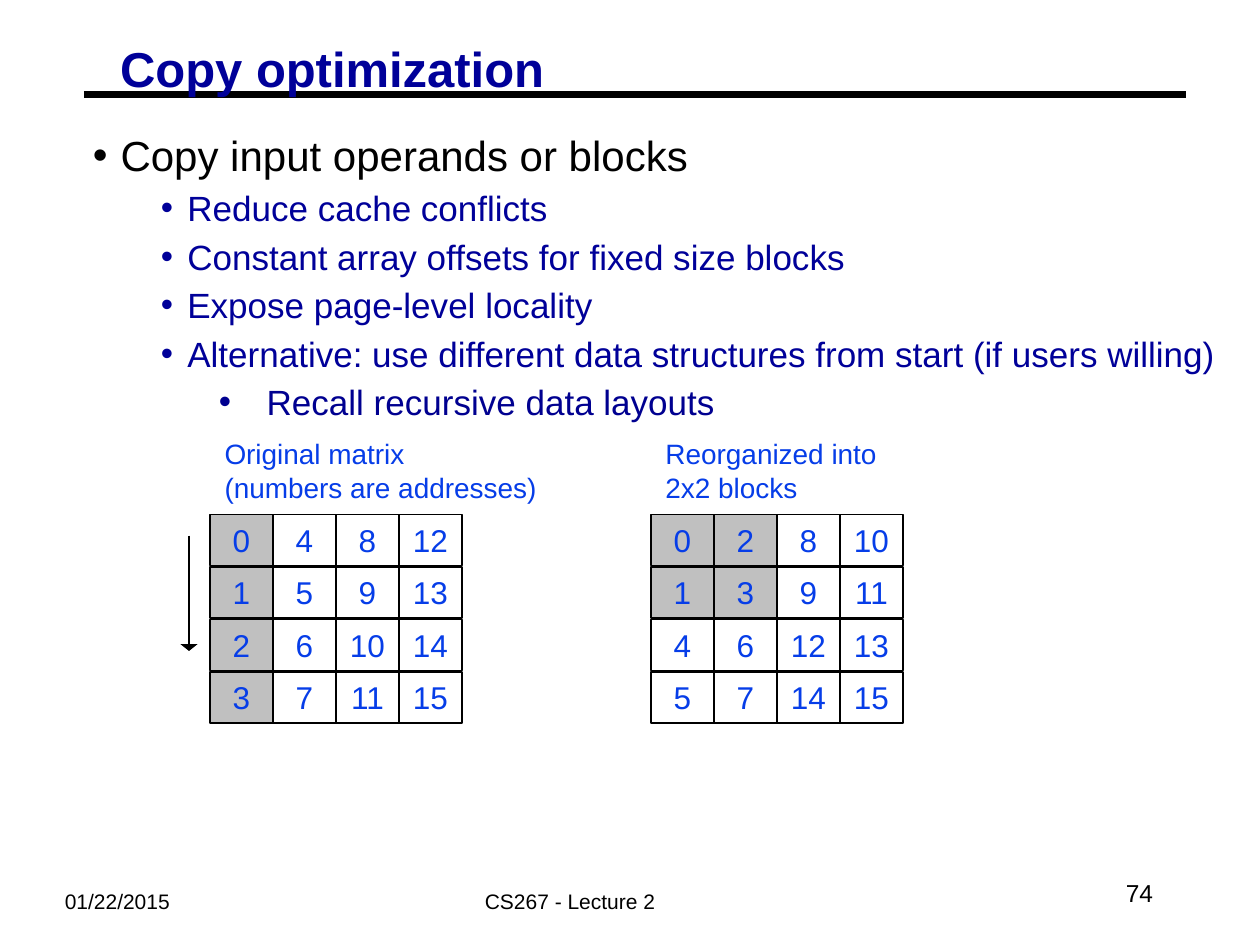
"""Build the slide on copy optimization: a bullet list above two 4x4 block matrices."""
from pptx import Presentation
from pptx.dml.color import RGBColor
from pptx.enum.shapes import MSO_CONNECTOR, MSO_SHAPE
from pptx.enum.text import MSO_ANCHOR, MSO_AUTO_SIZE, PP_ALIGN
from pptx.oxml.ns import qn
from pptx.util import Inches, Pt
from lxml.etree import SubElement

BLACK = RGBColor(0x00, 0x00, 0x00)
NAVY = RGBColor(0x00, 0x00, 0x99)
DARK_NAVY = RGBColor(0x00, 0x00, 0x90)
BLUE = RGBColor(0x06, 0x3D, 0xE8)
GRAY = RGBColor(0xC0, 0xC0, 0xC0)

prs = Presentation()
prs.slide_width, prs.slide_height = Inches(10), Inches(7.5)
U = prs.slide_width // 120
s = prs.slides.add_slide(prs.slide_layouts[1])


def add_run(p, text, size, color, bold=False):
    r = p.add_run()
    r.text = text
    r.font.name, r.font.size, r.font.bold = "Arial", Pt(size), bold
    r.font.color.rgb = color


def add_line(x1, y1, x2, y2, width):
    line = s.shapes.add_connector(
        MSO_CONNECTOR.STRAIGHT, int(x1 * U), int(y1 * U), int(x2 * U), int(y2 * U))
    line.line.color.rgb, line.line.width = BLACK, Pt(width)
    SubElement(line._element.spPr, qn("a:effectLst"))
    return line


title, body = s.shapes.title, s.placeholders[1]
rule = add_line(8, 9, 113, 9, 3.75)
title._element.addprevious(rule._element)

for sp, box in ((title, (10.6, 4.1, 42.5, 5.8)), (body, (8, 12, 112, 28.8))):
    sp.left, sp.top, sp.width, sp.height = (int(v * U) for v in box)
    tf = sp.text_frame
    tf.word_wrap, tf.auto_size = True, MSO_AUTO_SIZE.NONE
    tf.vertical_anchor = MSO_ANCHOR.TOP
    tf.margin_left = tf.margin_right = Inches(0.07)
    tf.margin_top = tf.margin_bottom = Inches(0.03)

p = title.text_frame.paragraphs[0]
p.alignment, p.line_spacing = PP_ALIGN.LEFT, 0.87
add_run(p, "Copy optimization", 28, NAVY, True)

LEVELS = [(0.22, 0.22, 24, BLACK), (0.75, 0.21, 20, NAVY), (1.38, 0.38, 20, DARK_NAVY)]
bullets = [
    (0, "Copy input operands or blocks"),
    (1, "Reduce cache conflicts"),
    (1, "Constant array offsets for fixed size blocks"),
    (1, "Expose page-level locality"),
    (1, "Alternative: use different data structures from start (if users willing)"),
    (2, "Recall recursive data layouts"),
]
tf = body.text_frame
for i, (level, text) in enumerate(bullets):
    margin, hang, size, color = LEVELS[level]
    p = tf.add_paragraph() if i else tf.paragraphs[0]
    p.level, p.space_before = level, Pt(3.7)
    add_run(p, text, size, color)
    pPr = p._p.get_or_add_pPr()
    pPr.set("marL", str(Inches(margin)))
    pPr.set("indent", str(-Inches(hang)))
    SubElement(SubElement(pPr, qn("a:buClr")), qn("a:srgbClr")).set("val", str(color))
    SubElement(pPr, qn("a:buFont")).set("typeface", "Arial")
    SubElement(pPr, qn("a:buChar")).set("char", "•")

labels = [
    (5, 84, 23, 7.3, ["01/22/2015"], 12, BLACK, PP_ALIGN.LEFT, MSO_ANCHOR.TOP),
    (45, 84, 23, 3.6, ["CS267 - Lecture 2"], 12, BLACK, PP_ALIGN.LEFT, MSO_ANCHOR.TOP),
    (86, 82, 25, 6, ["74"], 14, BLACK, PP_ALIGN.RIGHT, MSO_ANCHOR.MIDDLE),
    (20.2, 41, 34, 7.7, ["Original matrix", "(numbers are addresses)"], 16, BLUE,
     PP_ALIGN.LEFT, MSO_ANCHOR.TOP),
    (62.2, 41, 24, 7.7, ["Reorganized into", "2x2 blocks"], 16, BLUE,
     PP_ALIGN.LEFT, MSO_ANCHOR.TOP),
]
for x, y, w, h, lines, size, color, align, anchor in labels:
    tf = s.shapes.add_textbox(int(x * U), int(y * U), int(w * U), int(h * U)).text_frame
    tf.word_wrap, tf.vertical_anchor = True, anchor
    for i, text in enumerate(lines):
        p = tf.add_paragraph() if i else tf.paragraphs[0]
        p.alignment = align
        add_run(p, text, size, color)

matrices = [
    (20, [(0, 4, 8, 12), (1, 5, 9, 13), (2, 6, 10, 14), (3, 7, 11, 15)]),
    (62, [(0, 2, 8, 10), (1, 3, 9, 11), (4, 6, 12, 13), (5, 7, 14, 15)]),
]
for left, rows in matrices:
    for row, values in enumerate(rows):
        for col, value in enumerate(values):
            sp = s.shapes.add_shape(MSO_SHAPE.RECTANGLE, (left + 6 * col) * U,
                                    (49 + 5 * row) * U, 6 * U, int(4.85 * U))
            sp.shadow.inherit = False
            sp.line.color.rgb, sp.line.width = BLACK, Pt(1)
            if value < 4:
                sp.fill.solid()
                sp.fill.fore_color.rgb = GRAY
            else:
                sp.fill.background()
            tf = sp.text_frame
            tf.word_wrap, tf.vertical_anchor = True, MSO_ANCHOR.TOP
            p = tf.paragraphs[0]
            p.alignment = PP_ALIGN.CENTER
            add_run(p, str(value), 18, BLUE)

arrow = add_line(18, 51, 18, 62, 1)
head = SubElement(arrow.line._get_or_add_ln(), qn("a:tailEnd"))
for key, value in (("type", "triangle"), ("w", "lg"), ("len", "sm")):
    head.set(key, value)

prs.save("out.pptx")
